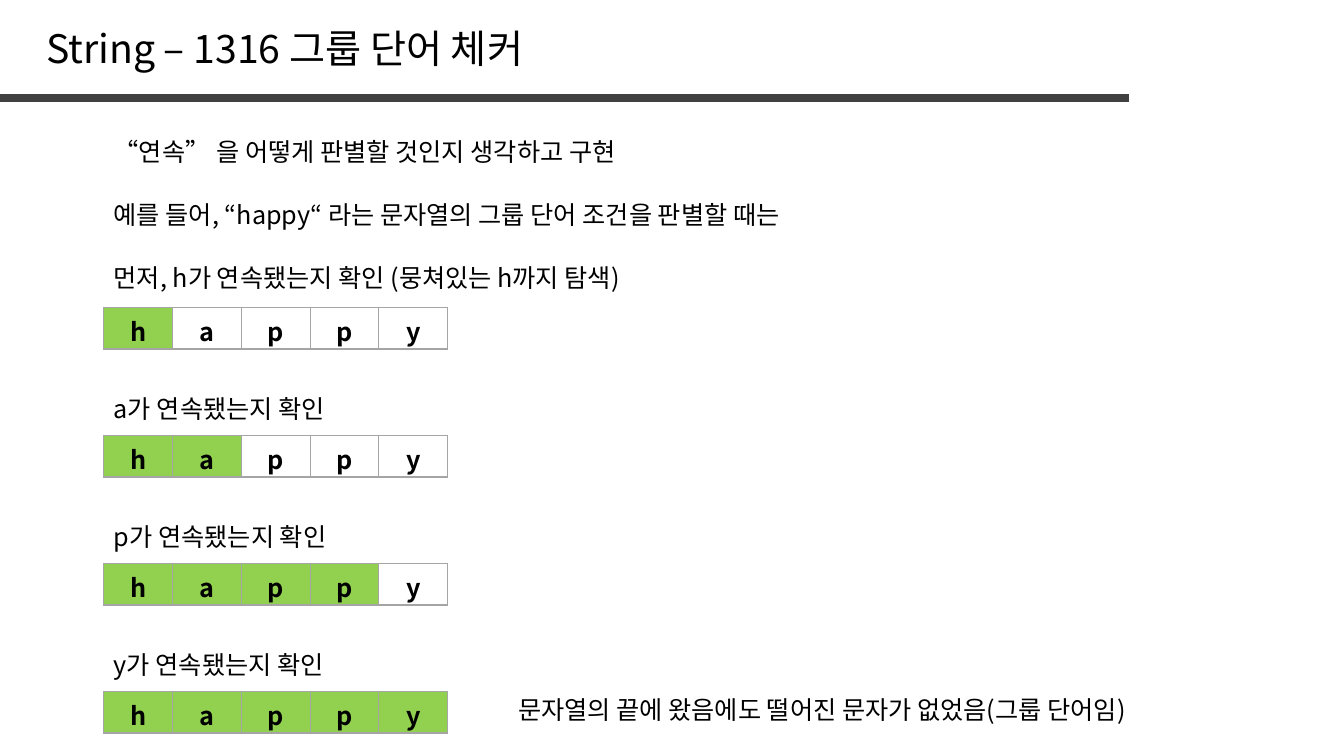
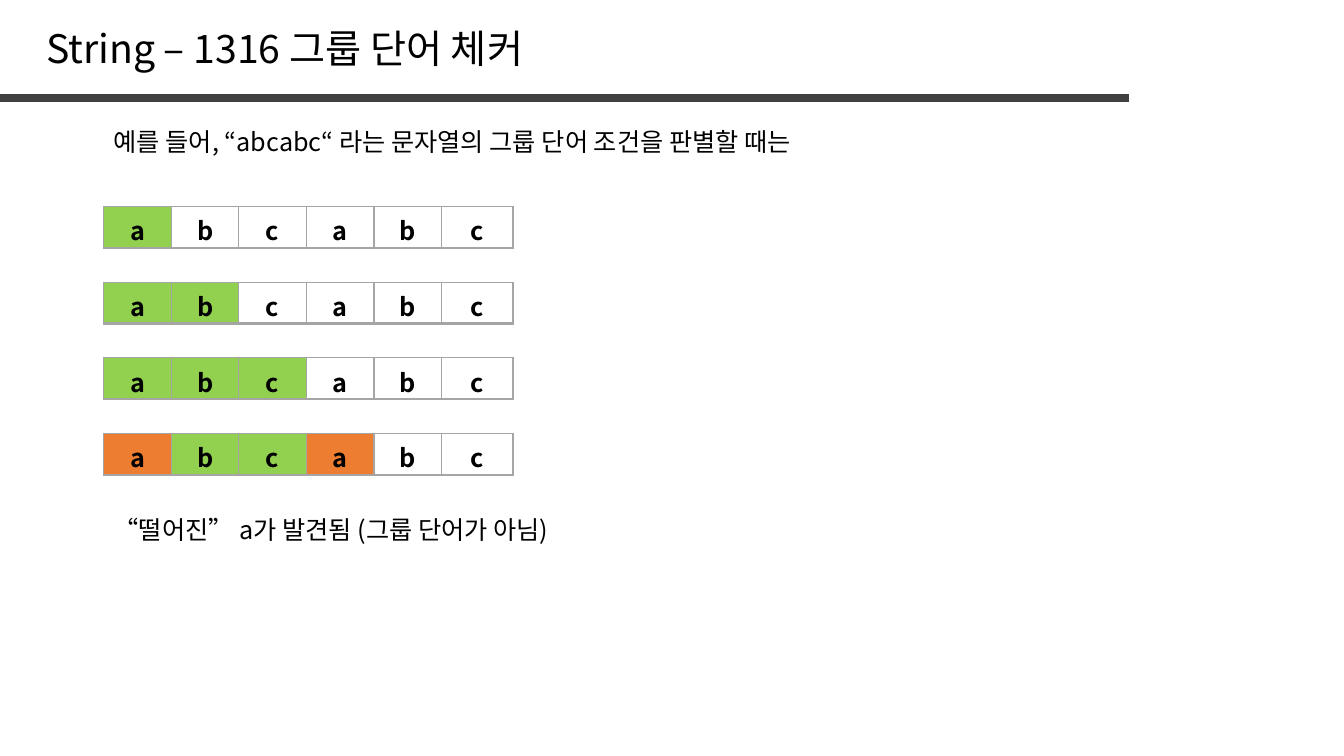
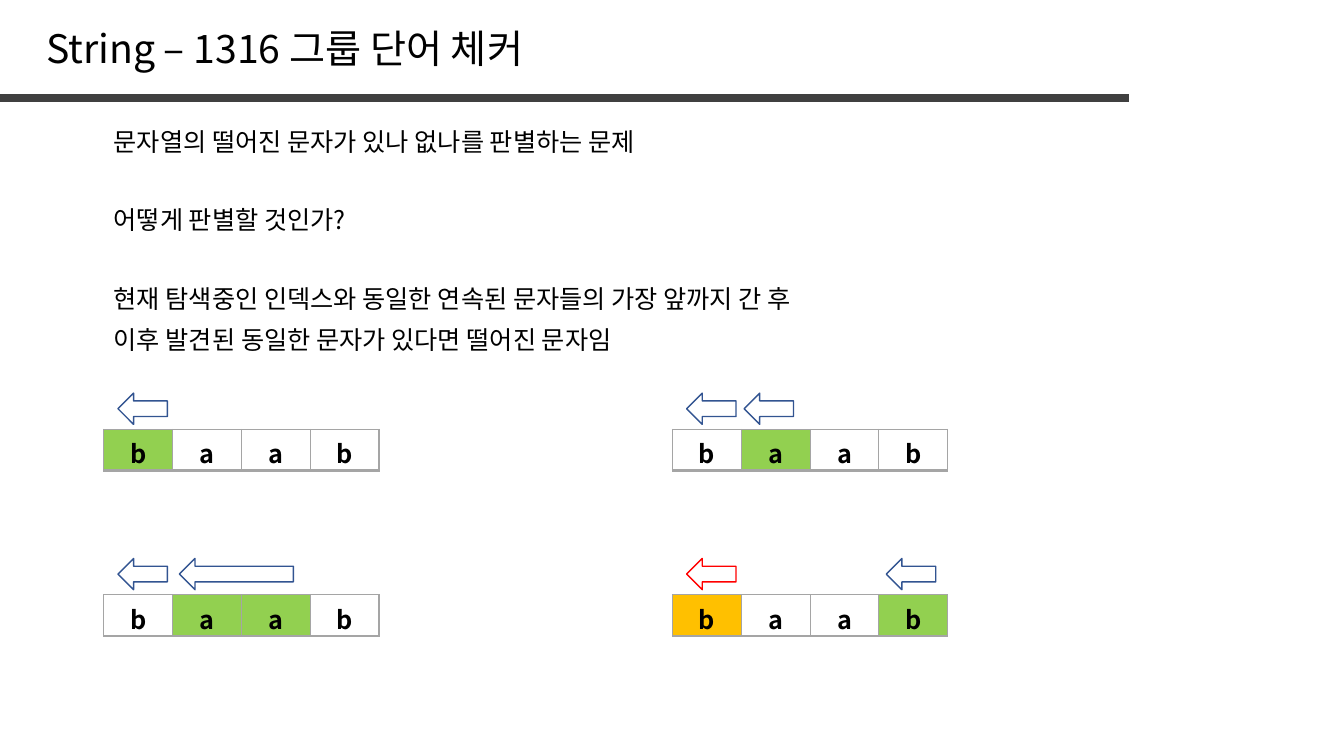
from dataclasses import dataclass

from lxml import etree
from pptx import Presentation
from pptx.dml.color import RGBColor
from pptx.enum.shapes import MSO_CONNECTOR, MSO_SHAPE
from pptx.enum.text import MSO_AUTO_SIZE, PP_ALIGN
from pptx.oxml.ns import qn
from pptx.util import Inches, Pt


@dataclass(frozen=True)
class Theme:
    font: str = "Noto Sans CJK KR"
    title_size: int = 28
    body_size: int = 18
    ink: str = "000000"
    rule: str = "404040"
    border: str = "A5A5A5"
    arrow: str = "325491"
    alert: str = "FF0000"


THEME = Theme()

# Content
TITLE = "String – 1316 그룹 단어 체커"
MARKS = {"G": "92D050", "O": "ED7D31", "Y": "FFC000"}  # "-" leaves a cell empty
COLUMNS = {"happy": [3.41 / 5] * 5, "abcabc": [0.67] * 5 + [0.71], "baab": [2.73 / 4] * 4}

HAPPY_INTRO = [
    (1.3, "“연속” 을 어떻게 판별할 것인지 생각하고 구현"),
    (1.93, "예를 들어, “happy“ 라는 문자열의 그룹 단어 조건을 판별할 때는"),
    (2.55, "먼저, h가 연속됐는지 확인 (뭉쳐있는 h까지 탐색)"),
]
HAPPY_STEPS = [
    ("", "G----"),
    ("a가 연속됐는지 확인", "GG---"),
    ("p가 연속됐는지 확인", "GGGG-"),
    ("y가 연속됐는지 확인", "GGGGG"),
]
HAPPY_RESULT = "문자열의 끝에 왔음에도 떨어진 문자가 없었음(그룹 단어임)"

ABC_TEXTS = [
    (1.2, "예를 들어, “abcabc“ 라는 문자열의 그룹 단어 조건을 판별할 때는"),
    (5.05, "“떨어진” a가 발견됨 (그룹 단어가 아님)"),
]
ABC_STEPS = ["G-----", "GG----", "GGG---", "OGGO--"]

METHOD_TEXTS = [
    (1.2, "문자열의 떨어진 문자가 있나 없나를 판별하는 문제"),
    (1.98, "어떻게 판별할 것인가?"),
    (2.76, "현재 탐색중인 인덱스와 동일한 연속된 문자들의 가장 앞까지 간 후"),
    (3.17, "이후 발견된 동일한 문자가 있다면 떨어진 문자임"),
]
# Marks, then arrows as (offset from the word, width, colour)
BAAB_STEPS = [
    ("G---", [(0.14, 0.49, THEME.arrow)]),
    ("-G--", [(0.71, 0.49, THEME.arrow), (0.14, 0.49, THEME.arrow)]),
    ("-GG-", [(0.75, 1.13, THEME.arrow), (0.14, 0.49, THEME.arrow)]),
    ("Y--G", [(0.14, 0.49, THEME.alert), (2.12, 0.49, THEME.arrow)]),
]

# Layout
MARGIN, TEXT_WIDTH, TEXT_HEIGHT, ROW_HEIGHT = 1.03, 9.35, 0.4, 0.41
HAPPY_TOP, HAPPY_PITCH, CAPTION_LIFT = 3.05, 1.27, 0.47
ABC_TOP, ABC_PITCH = 2.05, 0.75
BAAB_TOP, BAAB_ROW_PITCH, BAAB_COLUMN_PITCH = 4.26, 1.64, 5.64
ARROW_LIFT, ARROW_HEIGHT = 0.36, 0.31


def color(code):
    return RGBColor.from_string(code)


def write(para, text, size, bold=False):
    span = para.add_run()
    span.text = text
    span.font.name = THEME.font
    span.font.size = Pt(size)
    span.font.bold = bold
    span.font.color.rgb = color(THEME.ink)
    east_asian = etree.SubElement(span.font._element, qn("a:ea"))
    east_asian.set("typeface", THEME.font)


def add_text(page, text, left, top, width=TEXT_WIDTH, height=TEXT_HEIGHT,
             size=THEME.body_size, wrap=True):
    box = page.shapes.add_textbox(Inches(left), Inches(top), Inches(width), Inches(height))
    box.text_frame.word_wrap = wrap
    box.text_frame.auto_size = MSO_AUTO_SIZE.SHAPE_TO_FIT_TEXT
    write(box.text_frame.paragraphs[0], text, size)


def add_lines(page, lines):
    for top, text in lines:
        add_text(page, text, MARGIN, top)


def add_borders(cell):
    properties = cell._tc.get_or_add_tcPr()
    for side, points in (("L", 1), ("R", 1), ("T", 1), ("B", 2)):
        line = etree.SubElement(properties, qn(f"a:ln{side}"), w=str(Pt(points)))
        fill = etree.SubElement(line, qn("a:solidFill"))
        etree.SubElement(fill, qn("a:srgbClr"), val=THEME.border)


def add_word(page, word, marks, left, top):
    widths = COLUMNS[word]
    table = page.shapes.add_table(1, len(word), Inches(left), Inches(top),
                                  Inches(sum(widths)), Inches(ROW_HEIGHT)).table
    table.first_row = table.horz_banding = False
    for index, (letter, mark, width) in enumerate(zip(word, marks, widths)):
        table.columns[index].width = Inches(width)
        cell = table.cell(0, index)
        add_borders(cell)
        if mark in MARKS:
            cell.fill.solid()
            cell.fill.fore_color.rgb = color(MARKS[mark])
        else:
            cell.fill.background()
        para = cell.text_frame.paragraphs[0]
        para.alignment = PP_ALIGN.CENTER
        write(para, letter, THEME.body_size, bold=True)


def add_arrow(page, left, top, width, line_color):
    arrow = page.shapes.add_shape(MSO_SHAPE.LEFT_ARROW, Inches(left), Inches(top),
                                  Inches(width), Inches(ARROW_HEIGHT))
    arrow.shadow.inherit = False
    arrow.fill.background()
    arrow.line.color.rgb = color(line_color)
    arrow.line.width = Pt(1)


def add_page(deck):
    page = deck.slides.add_slide(deck.slide_layouts[6])
    rule = page.shapes.add_connector(MSO_CONNECTOR.STRAIGHT, 0, Inches(0.97),
                                     Inches(11.2), Inches(0.97))
    rule.line.color.rgb = color(THEME.rule)
    rule.line.width = Pt(6)
    etree.SubElement(rule._element.spPr, qn("a:effectLst"))
    add_text(page, TITLE, 0.36, 0.19, 5.09, 0.57, THEME.title_size, wrap=False)
    return page


deck = Presentation()
deck.slide_width, deck.slide_height = Inches(13.33), Inches(7.5)

# A group word, letter by letter
page = add_page(deck)
add_lines(page, HAPPY_INTRO)
for step, (caption, marks) in enumerate(HAPPY_STEPS):
    top = HAPPY_TOP + step * HAPPY_PITCH
    if caption:
        add_text(page, caption, MARGIN, top - CAPTION_LIFT)
    add_word(page, "happy", marks, MARGIN, top)
add_text(page, HAPPY_RESULT, 5.04, 6.84)

# A word that is not a group word
page = add_page(deck)
add_lines(page, ABC_TEXTS)
for step, marks in enumerate(ABC_STEPS):
    add_word(page, "abcabc", marks, MARGIN, ABC_TOP + step * ABC_PITCH)

# The method, two steps to a row
page = add_page(deck)
add_lines(page, METHOD_TEXTS)
for step, (marks, arrows) in enumerate(BAAB_STEPS):
    row, column = divmod(step, 2)
    left = MARGIN + column * BAAB_COLUMN_PITCH
    top = BAAB_TOP + row * BAAB_ROW_PITCH
    add_word(page, "baab", marks, left, top)
    for offset, width, line_color in arrows:
        add_arrow(page, left + offset, top - ARROW_LIFT, width, line_color)

deck.save("out.pptx")
